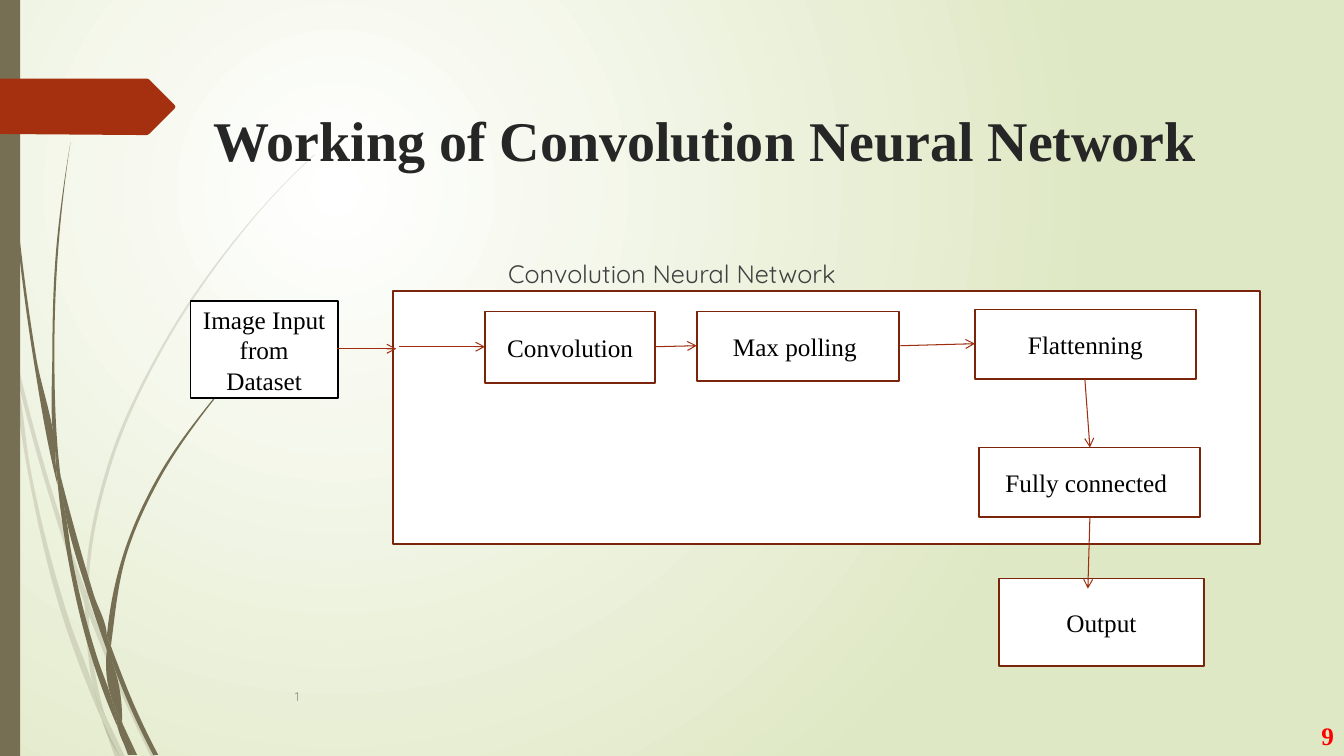
from dataclasses import dataclass
from math import dist
from typing import NamedTuple

from lxml.etree import SubElement as Sub
from pptx import Presentation
from pptx.dml.color import RGBColor
from pptx.enum.shapes import MSO_CONNECTOR as Conn, MSO_SHAPE as Kind
from pptx.enum.text import MSO_ANCHOR as Anchor, MSO_AUTO_SIZE as Fit, PP_ALIGN as Align
from pptx.oxml.ns import qn
from pptx.util import Inches, Pt

SERIF, SANS = "Times New Roman", "Quicksand"
OLIVE, RUST, BROWN, EMBER = "766F54", "A53010", "7A240C", "9E2E0F"
WHITE, BLACK = "FFFFFF", "000000"
Points = list[tuple[float, float]]


class Box(NamedTuple):
    left: float
    top: float
    width: float
    height: float
    text: str = ""
    line: str = BROWN


class Arrow(NamedTuple):
    start: tuple[float, float]
    end: tuple[float, float]


class Style(NamedTuple):
    size: float
    font: str
    color: str
    bold: bool = False


@dataclass
class Blade:
    near: Points
    far: Points


PALE = [
    Blade([(0, 2.82), (.09, 3.22), (.11, 3.5)], [(.1, 3.44), (0, 2.99)]),
    Blade([(.14, 3.45), (.62, 5.2), (.85, 5.86)],
          [(.84, 5.99), (.58, 5.22), (.17, 3.76)]),
    Blade([(.88, 5.96), (.92, 6.07), (1.27, 6.92), (1.55, 7.51)],
          [(1.5, 7.51), (1.23, 6.94), (.88, 6.1)]),
    Blade([(1.05, 7.11), (1.24, 7.51)], [(1.19, 7.51)]),
    Blade([(.11, 3.5), (.17, 3.76), (.31, 4.69), (.7, 6.19), (.93, 6.83), (.99, 7.07)],
          [(1.01, 7.14), (.92, 6.93), (.65, 6.21), (.28, 4.7), (.11, 3.5)]),
    Blade([(.84, 5.99), (.87, 6.46), (.93, 6.83), (.96, 6.92), (1.05, 7.11)],
          [(1.03, 7.06), (.91, 6.46), (.88, 6.1), (.88, 6.08)]),
    Blade([(.88, 5.96), (.88, 5.84), (1.1, 4.62), (1.6, 3.49), (2.29, 2.45), (2.68, 1.98),
           (2.9, 1.75), (3.12, 1.54)],
          [(3.12, 1.53), (2.89, 1.75), (2.68, 1.97), (2.28, 2.44), (1.58, 3.48),
           (1.07, 4.61), (.85, 5.84), (.85, 5.86)]),
    Blade([(1.01, 7.14), (1.14, 7.51)], [(1.19, 7.51)]),
    Blade([(.88, 6.08), (.88, 6.1), (.88, 5.96)], [(.85, 5.86), (.84, 5.99)]),
    Blade([(.93, 6.83), (.99, 7.07), (1.01, 7.14), (1.19, 7.51)],
          [(1.05, 7.11), (.96, 6.92)]),
]
DARK = [
    Blade([(.03, 0), (.04, .48), (.07, 1.1), (.17, 2.33), (.33, 3.55), (.56, 4.77),
           (.57, 4.81)],
          [(.55, 4.57), (.55, 4.53), (.36, 3.55), (.19, 2.32), (.08, 1.09), (.05, .48),
           (.04, 0)]),
    Blade([(.6, 4.72), (.64, 5.05), (.88, 5.92), (1.06, 6.45)],
          [(1.06, 6.33), (1.06, 6.31), (.93, 5.9), (.6, 4.72)]),
    Blade([(1.1, 6.41), (1.13, 6.49), (1.36, 7.06), (1.57, 7.49)],
          [(1.52, 7.49), (1.32, 7.08), (1.11, 6.56)]),
    Blade([(.57, 4.77), (.64, 5.05), (.72, 5.56), (.98, 6.57), (1.1, 6.91), (1.16, 7.17)],
          [(1.17, 7.22), (1.11, 7.08), (.93, 6.59), (.68, 5.57), (.57, 4.77)]),
    Blade([(.6, 4.72), (.58, 4.53), (.54, 3.49), (.58, 2.45), (.63, 1.93), (.7, 1.41)],
          [(.7, 1.41), (.62, 1.93), (.56, 2.45), (.52, 3.49), (.55, 4.49), (.6, 4.72)]),
    Blade([(1.22, 7.19), (1.33, 7.49)], [(1.36, 7.49)]),
    Blade([(.55, 4.49), (.55, 4.53), (.57, 4.77), (.64, 5.05)], [(.6, 4.72)]),
    Blade([(1.1, 6.41), (1.11, 6.33), (1.25, 5.52), (1.58, 4.76), (2.05, 4.06),
           (2.31, 3.74), (2.45, 3.59), (2.61, 3.44)],
          [(2.6, 3.44), (2.45, 3.58), (2.31, 3.73), (2.04, 4.05), (1.56, 4.74),
           (1.22, 5.51), (1.06, 6.31)]),
    Blade([(1.17, 7.22), (1.27, 7.49)], [(1.31, 7.49)]),
    Blade([(1.06, 6.45), (1.1, 6.91), (1.16, 7.06), (1.22, 7.19)],
          [(1.21, 7.16), (1.11, 6.56), (1.09, 6.51)]),
    Blade([(1.06, 6.45), (1.11, 6.56), (1.1, 6.41)], [(1.06, 6.31), (1.06, 6.33)]),
    Blade([(1.1, 6.91), (1.16, 7.17), (1.17, 7.22), (1.3, 7.49)],
          [(1.33, 7.49), (1.22, 7.19), (1.16, 7.06)]),
]
TAB = [(0, .78), (1.36, .78), (1.46, .78), (1.48, .79), (1.73, 1.04), (1.74, 1.06),
       (1.73, 1.08), (1.48, 1.33), (1.46, 1.34), (1.36, 1.34), (0, 1.33)]
BOXES = [
    Box(1.89, 2.99, 1.46, .96, "Image Input from Dataset", BLACK),
    Box(3.9, 2.89, 8.6, 2.51),
    Box(4.81, 3.09, 1.69, .71, "Convolution"),
    Box(6.91, 3.09, 2.01, .69, "Max polling "),
    Box(9.67, 3.07, 2.19, .69, "Flattenning"),
    Box(9.71, 4.44, 2.19, .69, "Fully connected "),
    Box(9.91, 5.74, 2.03, .87, "Output"),
]
ARROWS = [
    Arrow((3.34, 3.46), (3.93, 3.46)), Arrow((3.96, 3.44), (4.81, 3.44)),
    Arrow((6.5, 3.44), (6.91, 3.43)), Arrow((8.93, 3.43), (9.67, 3.41)),
    Arrow((10.76, 3.76), (10.81, 4.44)), Arrow((10.81, 5.13), (10.79, 5.84)),
]


def rgb(code: str) -> RGBColor:
    return RGBColor.from_string(code)


def bend(knots: Points) -> Points:
    """Return the Bezier points of a smooth curve through the knots."""
    gaps = [dist(a, b) for a, b in zip(knots, knots[1:])]
    rates = [((c - a) / g, (d - b) / g)
             for (a, b), (c, d), g in zip(knots, knots[1:], gaps)]
    if not rates:
        return knots
    mids = [tuple((p * h + q * g) / (g + h) for p, q in zip(u, v))
            for u, v, g, h in zip(rates, rates[1:], gaps, gaps[1:])]
    first, last = (mids[0], mids[-1]) if mids else (rates[0], rates[0])
    slopes = [tuple(2 * p - q for p, q in zip(rates[0], first)), *mids,
              tuple(2 * p - q for p, q in zip(rates[-1], last))]
    out = [knots[0]]
    for i, gap in enumerate(gaps):
        for knot, slope, way in ((knots[i], slopes[i], 1), (knots[i + 1], slopes[i + 1], -1)):
            out.append(tuple(k + way * s * gap / 3 for k, s in zip(knot, slope)))
        out.append(knots[i + 1])
    return out


def paint(shape, color: str, line: str = "", alpha: int = 100) -> None:
    shape.shadow.inherit = False
    shape.fill.solid()
    shape.fill.fore_color.rgb = rgb(color)
    if alpha < 100:
        tint = shape.element.spPr.find(qn("a:solidFill"))[0]
        Sub(tint, qn("a:alpha"), val=str(alpha * 1000))
    if line:
        shape.line.color.rgb = rgb(line)
        shape.line.width = Pt(1.25)
    else:
        shape.line.fill.background()


def outline(points: Points, color: str, alpha: int = 100):
    spots = [(Inches(x), Inches(y)) for x, y in points]
    pen = slide.shapes.build_freeform(*spots[0])
    pen.add_line_segments(spots[1:], close=True)
    shape = pen.convert_to_shape()
    paint(shape, color, alpha=alpha)
    return shape


def sprout(blade: Blade, alpha: int) -> None:
    near, far = bend(blade.near), bend(blade.far)
    shape = outline([*near, near[-1], far[0], *far], OLIVE, alpha)
    route = shape.element.find(".//" + qn("a:path"))
    legs = route.findall(qn("a:lnTo"))
    for trio in zip(legs[::3], legs[1::3], legs[2::3]):
        curve = Sub(route, qn("a:cubicBezTo"))
        for leg in trio:
            curve.append(leg[0])
            route.remove(leg)
    route.append(route.find(qn("a:close")))


def place(shape, box: Box) -> None:
    shape.left, shape.top, shape.width, shape.height = map(Inches, box[:4])


def write(shape, text: str, style: Style, align=Align.LEFT, anchor=Anchor.MIDDLE):
    frame = shape.text_frame
    frame.word_wrap, frame.auto_size, frame.vertical_anchor = True, Fit.NONE, anchor
    para = frame.paragraphs[0]
    para.alignment = align
    run = para.add_run()
    run.text = text
    font = run.font
    font.size, font.name, font.bold = Pt(style.size), style.font, style.bold
    font.color.rgb = rgb(style.color)
    return para


def block(box: Box, color: str = WHITE) -> None:
    shape = slide.shapes.add_shape(Kind.RECTANGLE, *map(Inches, box[:4]))
    paint(shape, color, box.line)
    if box.text:
        write(shape, box.text, Style(18, SERIF, BLACK), Align.CENTER)


def link(arrow: Arrow) -> None:
    wire = slide.shapes.add_connector(
        Conn.STRAIGHT, *map(Inches, (*arrow.start, *arrow.end)))
    wire.line.color.rgb = rgb(EMBER)
    wire.line.width = Pt(.75)
    props = wire.element.spPr
    Sub(props.find(qn("a:ln")), qn("a:tailEnd"), type="arrow")
    Sub(props, qn("a:effectLst"))


deck = Presentation()
deck.slide_width, deck.slide_height = Inches(13.33), Inches(7.5)
slide = deck.slides.add_slide(deck.slide_layouts[1])

# Radial background
fill = slide.background.fill
fill.gradient()
for stop, color, spot in zip(fill.gradient_stops, (WHITE, "DFE8C4"), (0, 1)):
    stop.color.rgb, stop.position = rgb(color), spot
grad = slide.element.find(".//" + qn("a:gradFill"))
grad.remove(grad.find(qn("a:lin")))
glow = Sub(grad, qn("a:path"), path="circle")
Sub(glow, qn("a:fillToRect"), l="50000", t="50000", r="100000", b="100000")

# Grass blades, side bar and tab
for blades, alpha in ((PALE, 20), (DARK, 100)):
    for blade in blades:
        sprout(blade, alpha)
block(Box(0, 0, .2, 7.5, line=""), OLIVE)
outline(TAB, RUST)

# Title and caption
title, body = slide.placeholders
for holder in (title, body):
    slide.shapes.element.append(holder.element)
place(title, Box(2.02, 1, 10.79, .75))
write(title, "Working of Convolution Neural Network", Style(40, SERIF, "262626", True))
place(body, Box(1.67, 2.07, 11.37, 5.2))
body.text_frame.margin_top = Inches(.49)
label = write(body, "Convolution Neural Network", Style(18, SANS, "404040"),
              anchor=Anchor.TOP)
label.space_before = Pt(0)
inset = label._p.get_or_add_pPr()
inset.set("marL", str(Inches(3.27)))
inset.set("indent", "0")
Sub(inset, qn("a:buNone"))

# Footer numbers
for box, style, align in (
        (Box(2.83, 6.71, 8.33, .4, "1"), Style(9, SANS, "8C8C8C"), Align.LEFT),
        (Box(12.48, 7.1, .85, .4, "9"), Style(18, SERIF, "FF0000", True), Align.RIGHT)):
    write(slide.shapes.add_textbox(*map(Inches, box[:4])), box.text, style, align)

# Network diagram
for box in BOXES:
    block(box)
for arrow in ARROWS:
    link(arrow)

deck.save("out.pptx")
